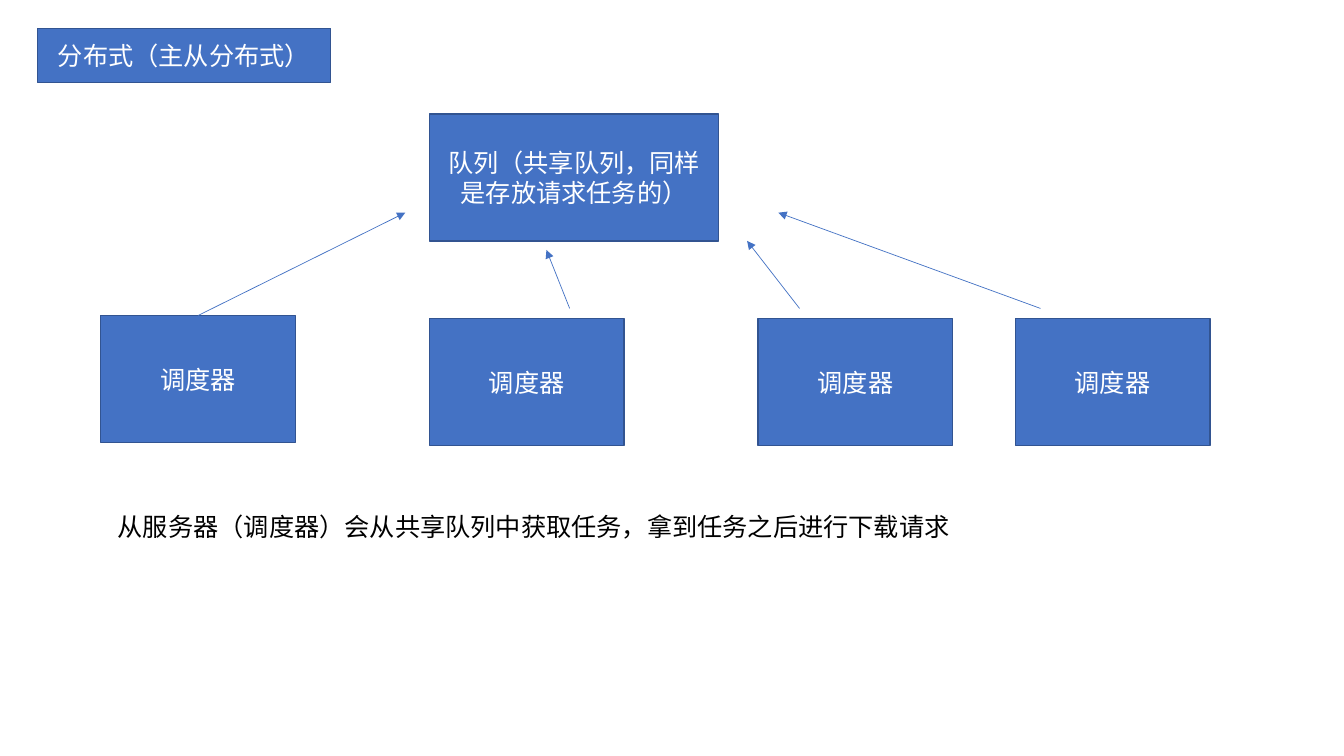
from pptx import Presentation
from pptx import util as u
from pptx.dml.color import RGBColor
from pptx.enum import shapes, text
from pptx.oxml.ns import qn
from lxml import etree

FONT = "Noto Sans CJK SC"
BLUE, EDGE, WHITE, BLACK = "4472C4", "325491", "FFFFFF", "000000"


def color(value):
    """Turn a hex string into a colour."""
    return RGBColor.from_string(value)


def write(shape, content, size=18, fill=WHITE, align=text.PP_ALIGN.CENTER,
          anchor=text.MSO_ANCHOR.MIDDLE, wrap=True,
          fit=text.MSO_AUTO_SIZE.NONE):
    """Put one formatted paragraph into a shape."""
    frame = shape.text_frame
    frame.auto_size = fit
    frame.word_wrap = wrap
    frame.vertical_anchor = anchor
    paragraph = frame.paragraphs[0]
    paragraph.alignment = align
    run = paragraph.add_run()
    run.text = content
    run.font.size = u.Pt(size)
    run.font.name = FONT
    run.font.color.rgb = color(fill)
    east_asian = etree.SubElement(run.font._element, qn("a:ea"))
    east_asian.set("typeface", FONT)


def paint(shape):
    """Give a shape the blue fill and dark edge."""
    shape.fill.solid()
    shape.fill.fore_color.rgb = color(BLUE)
    shape.line.color.rgb = color(EDGE)
    shape.line.width = u.Pt(1)


def add_box(slide, content, left, top, width, height):
    """Add a blue labelled rectangle."""
    shape = slide.shapes.add_shape(
        shapes.MSO_SHAPE.RECTANGLE,
        *map(u.Inches, (left, top, width, height)))
    shape.shadow.inherit = False
    paint(shape)
    write(shape, content)
    return shape


def add_arrow(slide, start, end):
    """Add a thin arrow between two points."""
    arrow = slide.shapes.add_connector(
        shapes.MSO_CONNECTOR.STRAIGHT, *map(u.Inches, (*start, *end)))
    arrow.line.color.rgb = color(BLUE)
    arrow.line.width = u.Pt(0.5)
    head = etree.SubElement(arrow.line._get_or_add_ln(), qn("a:tailEnd"))
    head.set("type", "triangle")
    etree.SubElement(arrow._element.spPr, qn("a:effectLst"))
    return arrow


def add_title(slide, left, top, width, height):
    """Format the title placeholder as a blue label."""
    title = slide.shapes.title
    title.left, title.top, title.width, title.height = map(
        u.Inches, (left, top, width, height))
    paint(title)
    write(title, "分布式（主从分布式）")


def add_diagram(slide, left, top):
    """Draw the shared queue, its schedulers and the arrows to the queue."""
    box_height = 1.26
    add_box(slide, "队列（共享队列，同样是存放请求任务的）",
            left + 3.26, top, 2.87, box_height)
    schedulers = [
        add_box(slide, "调度器", left + x, top + y, 1.93, box_height)
        for x, y in ((0, 2), (3.26, 2.03), (6.52, 2.03), (9.07, 2.03))]
    ends = [((0.97, 2), (3.02, 0.98)),
            ((4.65, 1.93), (4.42, 1.35)),
            ((6.93, 1.93), (6.41, 1.26)),
            ((9.32, 1.93), (6.72, 0.98))]
    arrows = [
        add_arrow(slide, (left + x1, top + y1), (left + x2, top + y2))
        for (x1, y1), (x2, y2) in ends]
    arrows[0].begin_connect(schedulers[0], 0)


def add_note(slide, left, top, width, height):
    """Add the explanation below the diagram."""
    note = slide.shapes.add_textbox(
        *map(u.Inches, (left, top, width, height)))
    write(note, "从服务器（调度器）会从共享队列中获取任务，拿到任务之后进行下载请求",
          fill=BLACK, align=text.PP_ALIGN.LEFT, anchor=text.MSO_ANCHOR.TOP,
          wrap=False, fit=text.MSO_AUTO_SIZE.SHAPE_TO_FIT_TEXT)


def main():
    """Build and save the presentation."""
    presentation = Presentation()
    presentation.slide_width = u.Inches(13.33)
    presentation.slide_height = u.Inches(7.5)
    slide = presentation.slides.add_slide(
        presentation.slide_layouts.get_by_name("Title Only"))
    add_title(slide, 0.37, 0.28, 2.91, 0.54)
    add_diagram(slide, 1, 1.13)
    add_note(slide, 1.07, 5.02, 8.8, 0.4)
    presentation.save("out.pptx")


if __name__ == "__main__":
    main()
